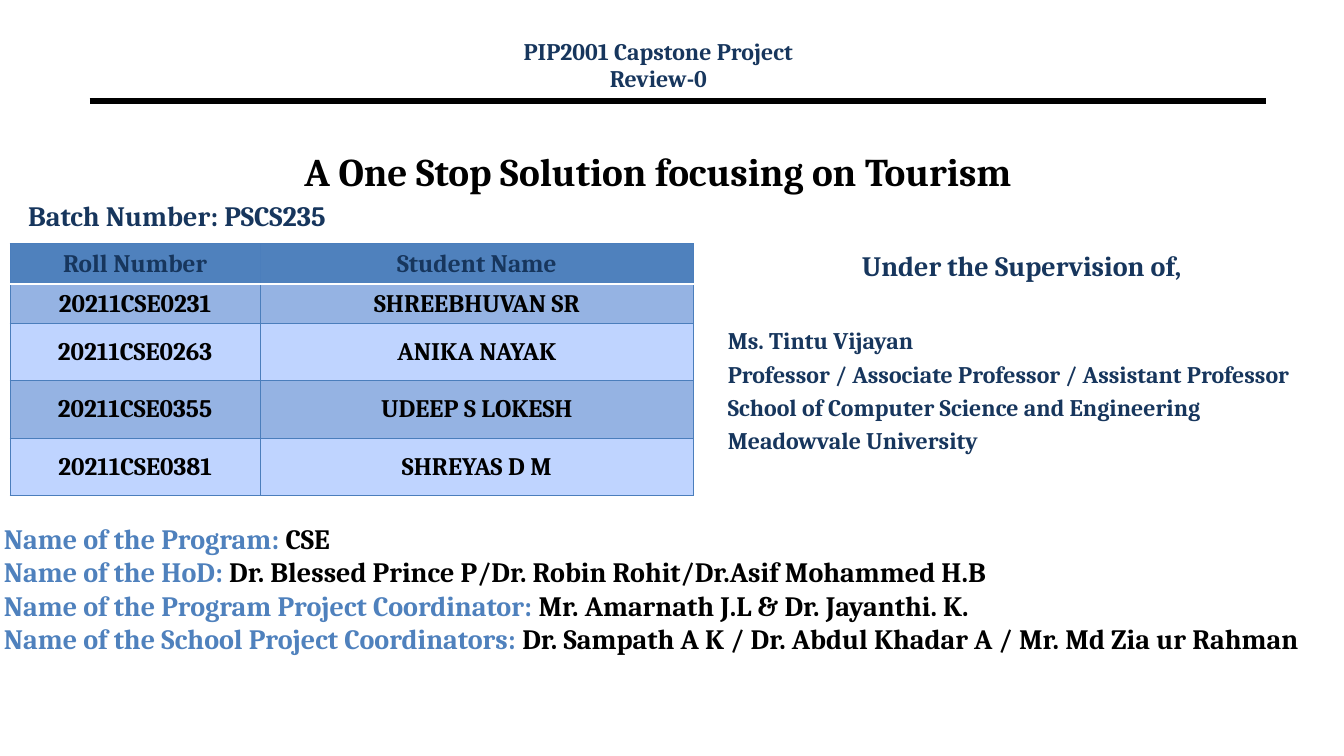
from dataclasses import dataclass

from lxml.etree import SubElement
from pptx import Presentation
from pptx.dml.color import RGBColor
from pptx.enum.shapes import MSO_CONNECTOR
from pptx.enum.text import MSO_ANCHOR, PP_ALIGN
from pptx.oxml.ns import qn
from pptx.util import Inches, Pt

FONT = "Cambria"
NAVY, BLUE, BLACK, WHITE = "17365D", "4F81BD", "000000", "FFFFFF"
GRID, DARK_BAND, LIGHT_BAND = "4B7EBC", "95B3E3", "BFD4FF"


@dataclass
class Line:
    phrases: list[tuple[str, str]]
    size: float = 20
    align: PP_ALIGN = PP_ALIGN.LEFT
    before: float = 0
    spacing: float = 1.0


@dataclass
class Block:
    left: float
    top: float
    width: float
    height: float
    lines: list[Line]
    anchor: MSO_ANCHOR = MSO_ANCHOR.TOP


def rgb(value: str) -> RGBColor:
    return RGBColor.from_string(value)


def write_line(paragraph, line: Line) -> None:
    paragraph.alignment = line.align
    paragraph.space_before = Pt(line.before)
    paragraph.line_spacing = line.spacing
    paragraph.font.name = FONT
    paragraph.font.size = Pt(line.size)
    paragraph.font.bold = True
    for text, color in line.phrases:
        run = paragraph.add_run()
        run.text = text
        run.font.color.rgb = rgb(color)


def draw_block(slide, block: Block) -> None:
    frame = slide.shapes.add_textbox(
        Inches(block.left), Inches(block.top), Inches(block.width), Inches(block.height)
    ).text_frame
    frame.word_wrap = True
    frame.vertical_anchor = block.anchor
    for index, line in enumerate(block.lines):
        write_line(frame.add_paragraph() if index else frame.paragraphs[0], line)


def set_border(cell, side: str, color: str, width: float) -> None:
    properties = cell._tc.get_or_add_tcPr()
    edge = SubElement(properties, qn(f"a:ln{side}"), w=str(Pt(width)))
    fill = SubElement(edge, qn("a:solidFill"))
    SubElement(fill, qn("a:srgbClr"), val=color)


def draw_students(slide, students: list[tuple[str, str]]) -> None:
    widths, heights = [2.48, 4.3], [0.4, 0.38, 0.57, 0.57, 0.57]
    table = slide.shapes.add_table(
        len(students), len(widths), Inches(0.1), Inches(2.42),
        Inches(sum(widths)), Inches(sum(heights))
    ).table
    for column, width in zip(table.columns, widths):
        column.width = Inches(width)
    for row_index, student in enumerate(students):
        table.rows[row_index].height = Inches(heights[row_index])
        header = row_index == 0
        band = BLUE if header else DARK_BAND if row_index % 2 else LIGHT_BAND
        for column_index, text in enumerate(student):
            cell = table.cell(row_index, column_index)
            for side in "LRTB":
                white_rule = (row_index, side) in ((0, "B"), (1, "T"))
                color, width = (WHITE, 2) if white_rule else (GRID, 0.75)
                set_border(cell, side, color, width)
            cell.fill.solid()
            cell.fill.fore_color.rgb = rgb(band)
            cell.vertical_anchor = MSO_ANCHOR.MIDDLE
            text_color = NAVY if header else BLACK
            write_line(cell.text_frame.paragraphs[0],
                       Line([(text, text_color)], 18, PP_ALIGN.CENTER))


def draw_rule(slide) -> None:
    rule = slide.shapes.add_connector(
        MSO_CONNECTOR.STRAIGHT, Inches(0.89), Inches(1), Inches(12.56), Inches(1)
    )
    rule.line.color.rgb = rgb(BLACK)
    rule.line.width = Pt(4.5)
    SubElement(rule._element.spPr, qn("a:effectLst"))


STUDENTS = [
    ("Roll Number", "Student Name"),
    ("20211CSE0231", "SHREEBHUVAN SR"),
    ("20211CSE0263", "ANIKA NAYAK"),
    ("20211CSE0355", "UDEEP S LOKESH"),
    ("20211CSE0381", "SHREYAS D M"),
]
SUPERVISOR = [
    "Ms. Tintu Vijayan",
    "Professor / Associate Professor / Assistant Professor",
    "School of Computer Science and Engineering",
    "Meadowvale University",
]
STAFF = [
    ("Program", "CSE"),
    ("HoD", "Dr. Blessed Prince P/Dr. Robin Rohit/Dr.Asif Mohammed H.B"),
    ("Program Project Coordinator", "Mr. Amarnath J.L & Dr. Jayanthi. K."),
    ("School Project Coordinators",
     "Dr. Sampath A K / Dr. Abdul Khadar A / Mr. Md Zia ur Rahman"),
]
CENTER = PP_ALIGN.CENTER
BLOCKS = [
    Block(0.86, 1.17, 11.33, 1.05,
          [Line([("A One Stop Solution focusing on\u00a0Tourism", BLACK)], 28, CENTER)],
          MSO_ANCHOR.MIDDLE),
    Block(0.18, 1.92, 4.34, 0.6, [Line([("Batch Number: PSCS235", NAVY)])]),
    Block(7.12, 2.42, 6.03, 2.21,
          [Line([("Under the Supervision of,", NAVY)], align=CENTER)]
          + [Line([(text, NAVY)], 17, before=3.4 if index else 31)
             for index, text in enumerate(SUPERVISOR)]),
    Block(4.36, 0.37, 4.34, 0.6,
          [Line([("PIP2001 Capstone Project", NAVY)], 17, CENTER, spacing=0.8),
           Line([("Review-0", NAVY)], 17, CENTER, 3.1, 0.8)]),
    Block(-0.06, 5.12, 13.4, 1.71,
          [Line([(f"Name of the {role}: ", BLUE), (names, BLACK)])
           for role, names in STAFF]),
]

presentation = Presentation()
presentation.slide_width = Inches(13.33)
presentation.slide_height = Inches(7.5)
cover = presentation.slides.add_slide(presentation.slide_layouts[6])
draw_rule(cover)
draw_students(cover, STUDENTS)
for block in BLOCKS:
    draw_block(cover, block)
presentation.save("out.pptx")
